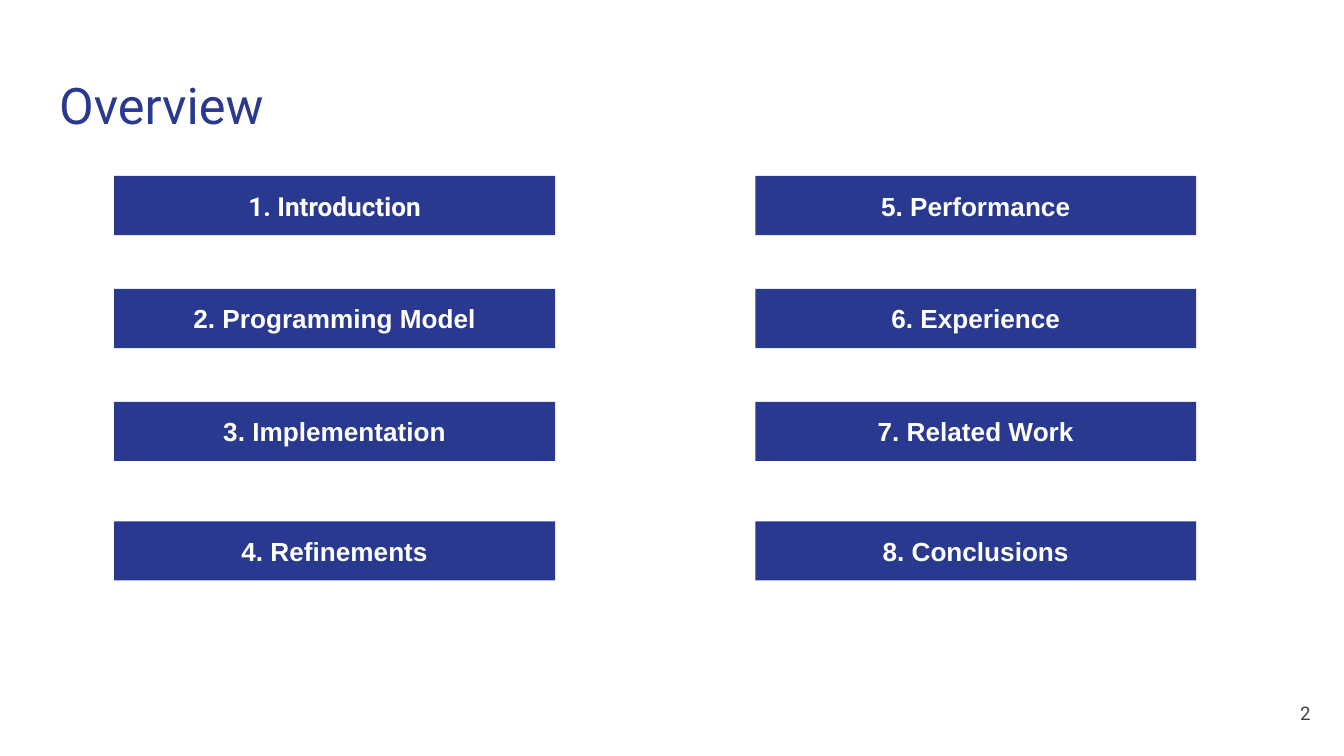
"""Build the overview slide: eight numbered sections in two columns."""
from pptx import Presentation, util as u
from pptx.dml.color import RGBColor
from pptx.enum import shapes, text

NAVY, WHITE, GREY = "2A3990", "FFFFFF", "434343"
COLUMNS = [0.85, 5.62]
ROWS = [1.31, 2.15, 2.99, 3.88]
BAR_WIDTH, BAR_HEIGHT = 3.28, 0.44
SECTIONS = ["Introduction", "Programming Model", "Implementation", "Refinements",
            "Performance", "Experience", "Related Work", "Conclusions"]


def colour(value):
    return RGBColor.from_string(value)


def write(shape, words, size, font, value, align, anchor, bold=False):
    frame = shape.text_frame
    frame.text = words
    frame.word_wrap = True
    frame.auto_size = text.MSO_AUTO_SIZE.NONE
    frame.vertical_anchor = anchor
    frame.margin_left = frame.margin_right = u.Inches(0.1)
    frame.margin_top = frame.margin_bottom = u.Inches(0.1)
    paragraph = frame.paragraphs[0]
    paragraph.alignment = align
    paragraph.font.size = u.Pt(size)
    paragraph.font.name = font
    paragraph.font.bold = bold
    paragraph.font.color.rgb = colour(value)


presentation = Presentation()
presentation.slide_width = u.Inches(10)
presentation.slide_height = presentation.slide_width * 9 // 16
slide = presentation.slides.add_slide(presentation.slide_layouts.get_by_name("Title Only"))

title = slide.shapes.title
title.left, title.top = u.Inches(0.34), u.Inches(0.45)
title.width, title.height = u.Inches(9.32), u.Inches(0.66)
write(title, "Overview", 27, "Roboto", NAVY, text.PP_ALIGN.LEFT, text.MSO_ANCHOR.TOP)

for index, section in enumerate(SECTIONS):
    column, row = divmod(index, len(ROWS))
    bar = slide.shapes.add_shape(shapes.MSO_SHAPE.RECTANGLE,
                                 u.Inches(COLUMNS[column]), u.Inches(ROWS[row]),
                                 u.Inches(BAR_WIDTH), u.Inches(BAR_HEIGHT))
    bar.shadow.inherit = False
    bar.fill.solid()
    bar.fill.fore_color.rgb = colour(NAVY)
    bar.line.fill.background()
    font = "Roboto" if index == 0 else "Arial"
    write(bar, f"{index + 1}. {section}", 14, font, WHITE,
          text.PP_ALIGN.CENTER, text.MSO_ANCHOR.MIDDLE, bold=True)

page_number = slide.shapes.add_textbox(u.Inches(9.25), u.Inches(5.09), u.Inches(0.6), u.Inches(0.43))
write(page_number, "2", 10, "Roboto", GREY, text.PP_ALIGN.RIGHT, text.MSO_ANCHOR.MIDDLE)

presentation.save("out.pptx")
